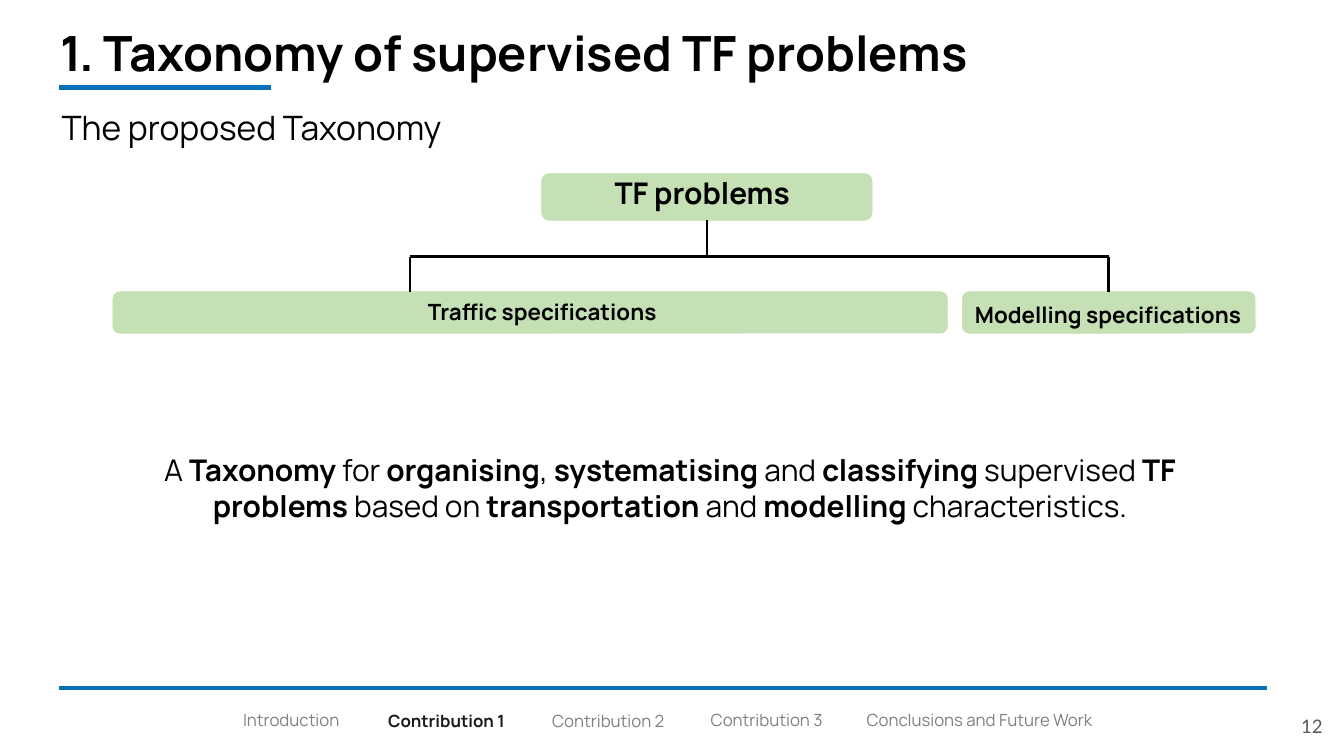
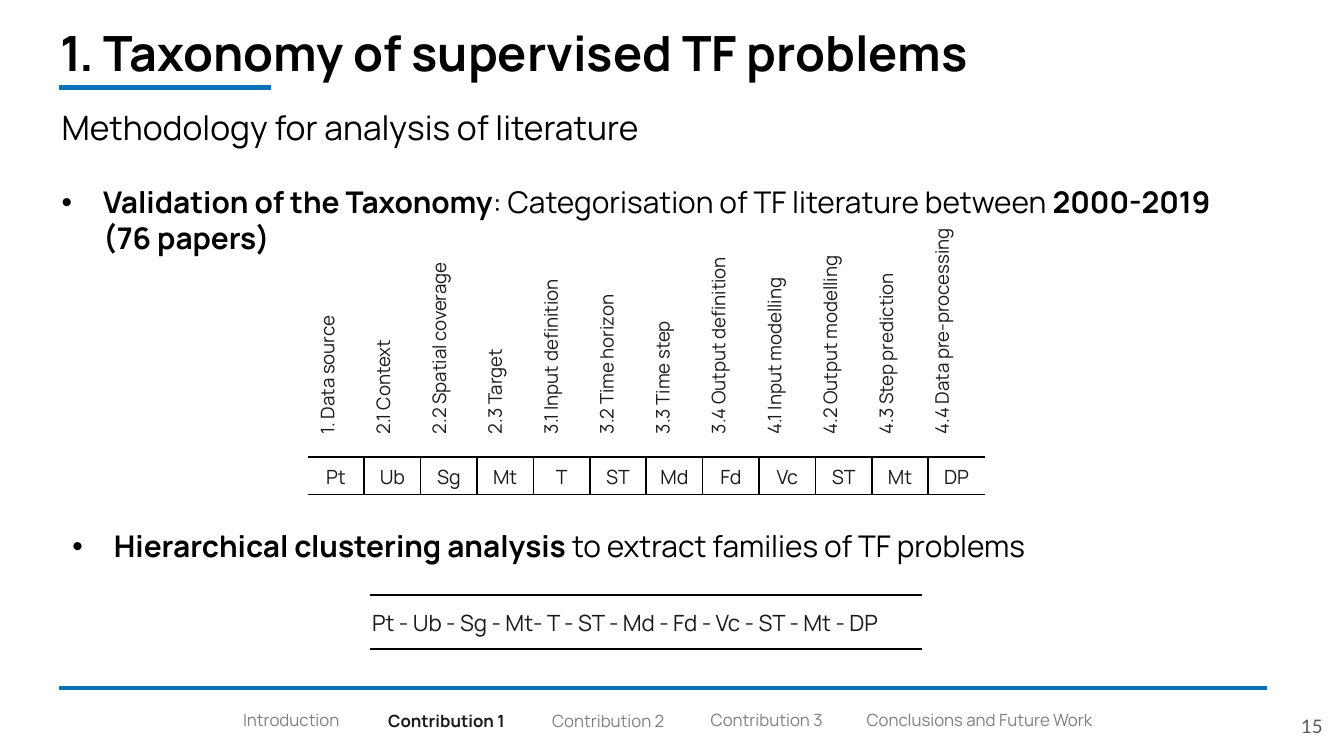
from dataclasses import dataclass
from typing import NamedTuple

from lxml import etree
from pptx import Presentation
from pptx import util as u
from pptx.dml.color import RGBColor
from pptx.enum import shapes, text
from pptx.oxml.ns import qn
from pptx.shapes.autoshape import Shape
from pptx.shapes.connector import Connector
from pptx.slide import Slide
from pptx.table import Table
from pptx.text.text import _Paragraph as Paragraph

EMU_PER_PX = 9144


@dataclass(frozen=True)
class Theme:
    font: str = "Manrope"
    number_font: str = "Lato"
    bullet_font: str = "Arial"
    black: str = "000000"
    ink: str = "1A1A1A"
    grey: str = "808080"
    number_grey: str = "595959"
    white: str = "FFFFFF"
    blue: str = "0771B9"
    green: str = "C5E0B4"
    title: float = 26
    subtitle: float = 18
    body: float = 16
    label: float = 12
    code: float = 10.5
    small: float = 10
    tab: float = 9
    rule: float = 2.5
    branch: float = 1.5
    border: float = 1
    hairline: float = 0.25


THEME = Theme()


class Area(NamedTuple):
    left: int
    top: int
    width: int
    height: int


class Point(NamedTuple):
    x: int
    y: int


@dataclass(frozen=True)
class Tab:
    name: str
    area: Area


@dataclass(frozen=True)
class Node:
    name: str
    block: Area
    label: Area
    size: float


@dataclass(frozen=True)
class Category:
    heading: str
    code: str


TABS = [
    Tab("Introduction", Area(171, 523, 101, 25)),
    Tab("Contribution 1", Area(279, 524, 110, 25)),
    Tab("Contribution 2", Area(401, 524, 104, 25)),
    Tab("Contribution 3", Area(519, 523, 104, 25)),
    Tab("Conclusions and Future Work", Area(635, 523, 198, 25)),
]
ACTIVE_TAB = "Contribution 1"

MODELLING = Node("Modelling specifications", Area(716, 217, 218, 31),
                 Area(710, 219, 229, 30), THEME.label)
TRAFFIC = Node("Traffic specifications", Area(84, 217, 621, 31),
               Area(208, 217, 391, 30), THEME.label)
ROOT = Node("TF problems", Area(403, 129, 246, 35),
            Area(404, 125, 237, 37), THEME.body)

CATEGORIES = [
    Category("1. Data source", "Pt"),
    Category("2.1 Context", "Ub"),
    Category("2.2 Spatial coverage", "Sg"),
    Category("2.3 Target", "Mt"),
    Category("3.1 Input definition", "T"),
    Category("3.2 Time horizon", "ST"),
    Category("3.3 Time step", "Md"),
    Category("3.4 Output definition", "Fd"),
    Category("4.1 Input modelling", "Vc"),
    Category("4.2 Output modelling", "ST"),
    Category("4.3 Step prediction", "Mt"),
    Category("4.4 Data pre-processing", "DP"),
]


def px(length: int) -> u.Emu:
    return u.Emu(length * EMU_PER_PX)


def place(area: Area) -> list[u.Emu]:
    return [px(length) for length in area]


def write(para: Paragraph, words: str, *, size: float, color: str = THEME.black,
          font: str = THEME.font, bold: bool = False,
          align: text.PP_ALIGN = text.PP_ALIGN.LEFT) -> None:
    para.alignment = align
    for index, part in enumerate(words.split("*")):
        if part:
            span = para.add_run()
            span.text = part
            span.font.name = font
            span.font.size = u.Pt(size)
            span.font.bold = bold or index % 2 == 1
            span.font.color.rgb = RGBColor.from_string(color)


def add_bullet(para: Paragraph) -> None:
    props = para._p.get_or_add_pPr()
    props.set("marL", str(px(31)))
    props.set("indent", str(-px(31)))
    tint = etree.SubElement(props, qn("a:buClr"))
    etree.SubElement(tint, qn("a:srgbClr"), val=THEME.black)
    etree.SubElement(props, qn("a:buFont"), typeface=THEME.bullet_font)
    etree.SubElement(props, qn("a:buChar"), char="•")


def add_text(page: Slide, area: Area, words: str, *, size: float,
             color: str = THEME.black, font: str = THEME.font,
             bold: bool = False, align: text.PP_ALIGN = text.PP_ALIGN.LEFT,
             anchor: text.MSO_ANCHOR = text.MSO_ANCHOR.TOP,
             padding: int = 5, grow: bool = True, bullet: bool = False) -> None:
    frame = page.shapes.add_textbox(*place(area)).text_frame
    frame.word_wrap = True
    frame.auto_size = (text.MSO_AUTO_SIZE.SHAPE_TO_FIT_TEXT if grow
                       else text.MSO_AUTO_SIZE.NONE)
    frame.vertical_anchor = anchor
    frame.margin_left = frame.margin_right = px(10)
    frame.margin_top = frame.margin_bottom = px(padding)
    para = frame.paragraphs[0]
    write(para, words, size=size, color=color, font=font, bold=bold, align=align)
    if bullet:
        add_bullet(para)


def add_line(page: Slide, start: Point, end: Point, *, color: str = THEME.black,
             width: float = THEME.branch) -> Connector:
    line = page.shapes.add_connector(
        shapes.MSO_CONNECTOR.STRAIGHT, *map(px, start + end))
    line.line.color.rgb = RGBColor.from_string(color)
    line.line.width = u.Pt(width)
    etree.SubElement(line._element.spPr, qn("a:effectLst"))
    return line


def add_block(page: Slide, area: Area, *, fill: str | None, line: str,
              width: float = THEME.border,
              kind: shapes.MSO_SHAPE = shapes.MSO_SHAPE.RECTANGLE) -> Shape:
    box = page.shapes.add_shape(kind, *place(area))
    box.shadow.inherit = False
    if fill:
        box.fill.solid()
        box.fill.fore_color.rgb = RGBColor.from_string(fill)
    else:
        box.fill.background()
    box.line.color.rgb = RGBColor.from_string(line)
    box.line.width = u.Pt(width)
    return box


def add_node(page: Slide, node: Node) -> Shape:
    box = add_block(page, node.block, fill=THEME.green, line=THEME.green,
                    width=THEME.hairline,
                    kind=shapes.MSO_SHAPE.ROUNDED_RECTANGLE)
    add_text(page, node.label, node.name, size=node.size, bold=True,
             align=text.PP_ALIGN.CENTER)
    return box


def add_row(page: Slide, area: Area, entries: list[str], *, size: float,
            align: text.PP_ALIGN = text.PP_ALIGN.LEFT) -> Table:
    table = page.shapes.add_table(1, len(entries), *place(area)).table
    table.first_row = table.horz_banding = False
    for column, entry in enumerate(entries):
        table.columns[column].width = u.Emu(px(area.width) // len(entries))
        cell = table.cell(0, column)
        cell.fill.background()
        write(cell.text_frame.paragraphs[0], entry, size=size,
              color=THEME.ink, align=align)
    return table


def turn_up(table: Table) -> None:
    for cell in table.iter_cells():
        cell._tc.get_or_add_tcPr().set("vert", "vert270")


def add_borders(table: Table) -> None:
    last = len(table.columns) - 1
    for column, cell in enumerate(table.iter_cells()):
        shown = {"L": column > 0, "R": column < last, "T": True, "B": True}
        for position, (side, visible) in enumerate(shown.items()):
            edge = etree.Element(qn(f"a:ln{side}"), w=str(u.Pt(THEME.border)))
            if visible:
                fill = etree.SubElement(edge, qn("a:solidFill"))
                etree.SubElement(fill, qn("a:srgbClr"), val=THEME.black)
            else:
                etree.SubElement(edge, qn("a:noFill"))
            cell._tc.get_or_add_tcPr().insert(position, edge)


def add_page(deck: Presentation, number: int, subtitle: str) -> Slide:
    page = deck.slides.add_slide(deck.slide_layouts[6])
    add_text(page, Area(934, 519, 60, 43), str(number), size=THEME.small,
             color=THEME.number_grey, font=THEME.number_font, padding=10,
             align=text.PP_ALIGN.RIGHT, anchor=text.MSO_ANCHOR.MIDDLE, grow=False)
    add_text(page, Area(35, 7, 959, 59), "1. Taxonomy of supervised TF problems",
             size=THEME.title, bold=True, padding=10, grow=False)
    add_text(page, Area(36, 75, 892, 40), subtitle, size=THEME.subtitle)
    for y, right in ((65, 202), (512, 943)):
        add_line(page, Point(44, y), Point(right, y), color=THEME.blue,
                 width=THEME.rule)
    for tab in TABS:
        active = tab.name == ACTIVE_TAB
        add_text(page, tab.area, tab.name, size=THEME.tab, bold=active,
                 color=THEME.ink if active else THEME.grey)
    return page


def build_taxonomy(deck: Presentation) -> None:
    page = add_page(deck, 12, "The proposed Taxonomy")
    modelling = add_node(page, MODELLING)
    add_node(page, TRAFFIC)
    root = add_node(page, ROOT)

    bus, top = 191, MODELLING.block.top
    left, middle, right = 305, 526, 825
    add_line(page, Point(right, top), Point(right, bus)).begin_connect(modelling, 0)
    add_line(page, Point(middle, 164), Point(middle, bus)).begin_connect(root, 2)
    add_line(page, Point(left, bus), Point(right, bus))
    add_line(page, Point(left, top), Point(left, bus))

    add_text(page, Area(63, 331, 871, 64),
             "A *Taxonomy *for *organising*, *systematising* and *classifying *"
             "supervised *TF problems *based on *transportation* and "
             "*modelling *characteristics.",
             size=THEME.body, align=text.PP_ALIGN.CENTER)


def build_methodology(deck: Presentation) -> None:
    page = add_page(deck, 15, "Methodology for analysis of literature")
    turn_up(add_row(page, Area(229, 133, 499, 200),
                    [category.heading for category in CATEGORIES],
                    size=THEME.small))
    add_text(page, Area(36, 132, 908, 64),
             "*Validation of the Taxonomy*: Categorisation of TF literature "
             "between *2000-2019 (76 papers)*",
             size=THEME.body, bullet=True)
    add_text(page, Area(44, 388, 924, 37),
             "*Hierarchical clustering analysis *to extract families of TF problems",
             size=THEME.body, bullet=True)
    add_borders(add_row(page, Area(229, 340, 504, 28),
                        [category.code for category in CATEGORIES],
                        size=THEME.code, align=text.PP_ALIGN.CENTER))

    add_block(page, Area(270, 443, 421, 40), fill=None, line=THEME.black)
    add_text(page, Area(267, 448, 428, 30),
             "Pt - Ub - Sg - Mt- T - ST - Md - Fd - Vc - ST - Mt - DP",
             size=THEME.label, color=THEME.ink)
    for cover in (Area(202, 427, 73, 72), Area(687, 436, 73, 72)):
        add_block(page, cover, fill=THEME.white, line=THEME.white)


def main() -> None:
    deck = Presentation()
    deck.slide_width = px(1000)
    deck.slide_height = u.Emu(deck.slide_width * 9 // 16)
    build_taxonomy(deck)
    build_methodology(deck)
    deck.save("out.pptx")


if __name__ == "__main__":
    main()
